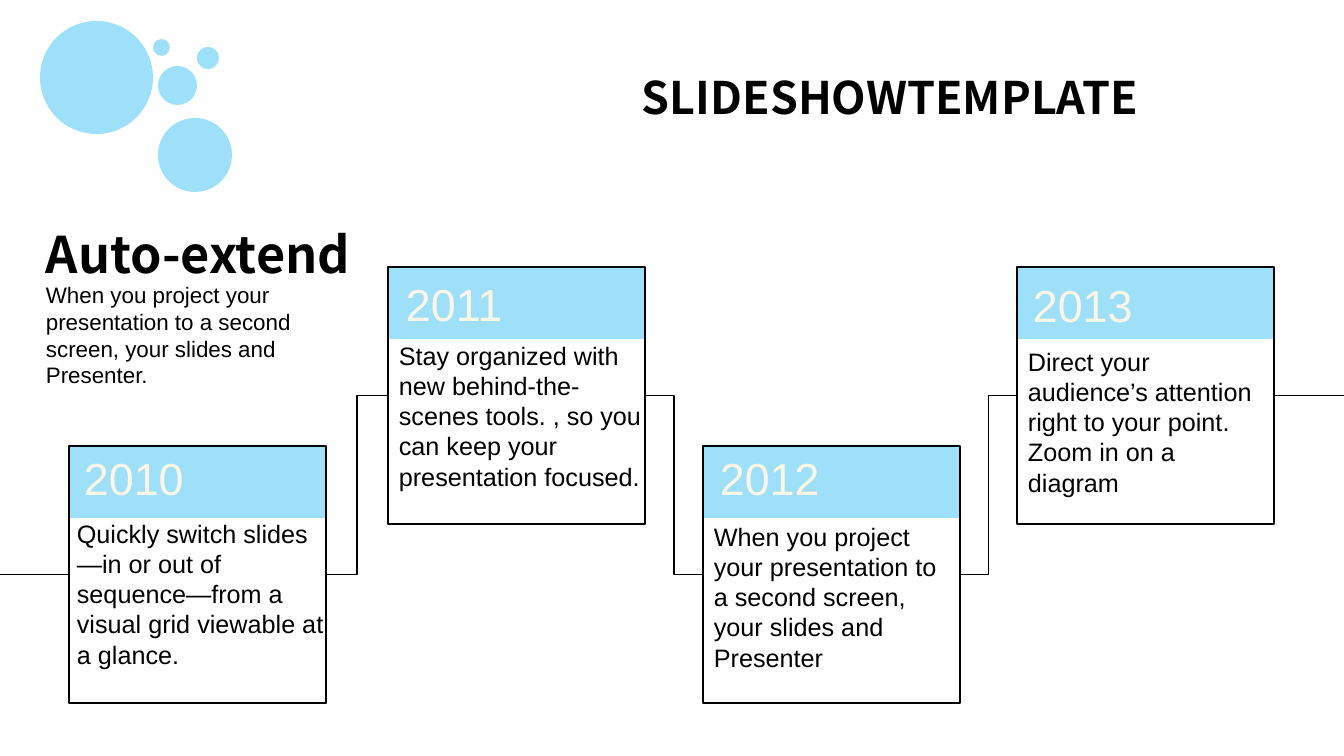
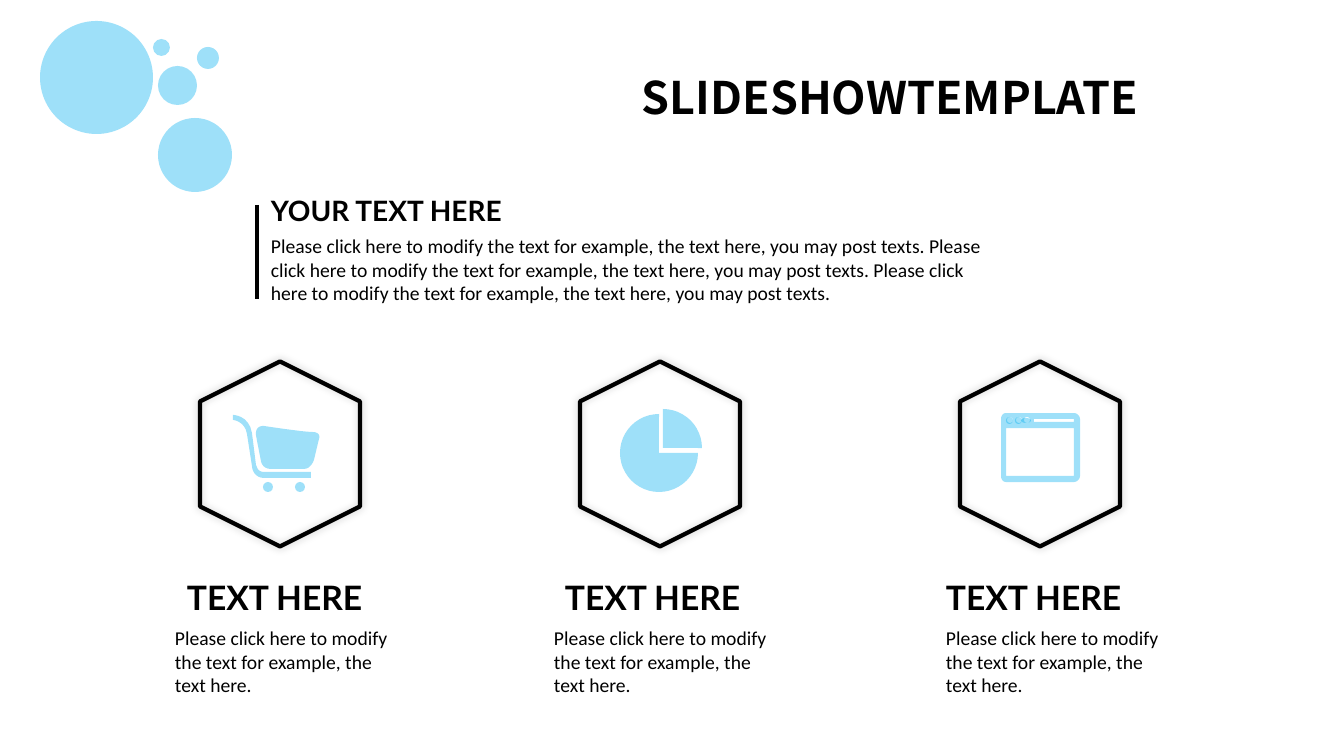
from lxml import etree
from pptx import Presentation
from pptx import util as u
from pptx.dml.color import RGBColor
from pptx.enum import shapes, text
from pptx.oxml.ns import qn

PX = 914400 / 100.8
SKY, BLACK, CREAM = "00B0F0", "000000", "FCF6E6"
DISPLAY, BODY, CAPTION, NOTE = "Noto Sans CJK SC", "Arial", "Lato", "Calibri"
Preset, Link = shapes.MSO_SHAPE, shapes.MSO_CONNECTOR


def paint(item, fill=None, line=None, weight=1):
    """Give a shape a translucent fill or none, a line or none, and no shadow."""
    if hasattr(item, "fill"):
        item.shadow.inherit = False
        if fill:
            item.fill.solid()
            item.fill.fore_color.rgb = RGBColor.from_string(fill)
            tint = item.fill._xPr.find(qn("a:solidFill"))[0]
            etree.SubElement(tint, qn("a:alpha"), val="38000")
        else:
            item.fill.background()
    if line:
        item.line.color.rgb = RGBColor.from_string(line)
        item.line.width = u.Pt(weight)
    else:
        item.line.fill.background()
    if not hasattr(item, "fill"):
        etree.SubElement(item._element.spPr, qn("a:effectLst"))
    return item


def write(slide, words, box, size, font=BODY, color=BLACK, bold=False, holder=None,
          align=text.PP_ALIGN.LEFT, anchor=text.MSO_ANCHOR.TOP):
    """Set one paragraph in a new text box or in a given placeholder."""
    left, top, width, height = [round(n * PX) for n in box]
    if holder is None:
        holder = slide.shapes.add_textbox(left, top, width, height)
    else:
        holder.left, holder.top, holder.width, holder.height = left, top, width, height
    frame = holder.text_frame
    frame.word_wrap = True
    frame.auto_size = text.MSO_AUTO_SIZE.NONE
    frame.vertical_anchor = anchor
    paragraph = frame.paragraphs[0]
    paragraph.alignment = align
    run = paragraph.add_run()
    run.text = words
    run.font.name, run.font.size, run.font.bold = font, u.Pt(size), bold
    run.font.color.rgb = RGBColor.from_string(color)


deck = Presentation()
deck.slide_width, deck.slide_height = round(1344 * PX), round(756 * PX)
timeline, features = [deck.slides.add_slide(deck.slide_layouts[5]) for _ in range(2)]

# Shared bubbles and title
bubbles = [(40, 21, 113), (153, 39, 17), (197, 47, 22), (158, 66, 39), (158, 118, 74)]
for slide in (timeline, features):
    for x, y, size in bubbles:
        paint(slide.shapes.add_shape(Preset.OVAL, x * PX, y * PX, size * PX, size * PX), SKY)
    write(slide, "SLIDESHOWTEMPLATE", (570, 66, 640, 61), 32, DISPLAY, bold=True,
          holder=slide.shapes.title, align=text.PP_ALIGN.CENTER,
          anchor=text.MSO_ANCHOR.MIDDLE)

# Timeline: introduction
write(timeline, "When you project your presentation to a second screen, your slides and "
      "Presenter.", (36, 276, 313, 119), 16)
write(timeline, "Auto-extend", (36, 218, 380, 72), 36, DISPLAY, bold=True)

# Timeline: cards (left, top, year, year position, story, story box)
CARD, BAND = 257, 72
milestones = [
    (69, 446, "2010", (74, 446),
     "Quickly switch slides—in or out of sequence—from a visual grid viewable at a glance.",
     (67, 513, 271, 194)),
    (388, 267, "2011", (396, 272),
     "Stay organized with new behind-the-scenes tools. , so you can keep your "
     "presentation focused.", (389, 335, 275, 194)),
    (703, 446, "2012", (710, 446),
     "When you project your presentation to a second screen, your slides and Presenter",
     (704, 516, 254, 194)),
    (1017, 267, "2013", (1023, 273),
     "Direct your audience’s attention right to your point. Zoom in on a diagram",
     (1018, 341, 256, 163)),
]
cards = []
for x, y, year, year_at, story, story_box in milestones:
    paint(timeline.shapes.add_shape(Preset.RECTANGLE, x * PX, y * PX, CARD * PX, BAND * PX),
          SKY)
    cards.append(paint(timeline.shapes.add_shape(
        Preset.RECTANGLE, x * PX, y * PX, CARD * PX, CARD * PX), line=BLACK))
    write(timeline, year, (*year_at, 126, 65), 32, color=CREAM)
    write(timeline, story, story_box, 18)

# Timeline: path through the cards and off both edges
for card, next_card in zip(cards, cards[1:]):
    step = timeline.shapes.add_connector(Link.ELBOW, 0, 0, 0, 0)
    step.begin_connect(card, 3)
    step.end_connect(next_card, 1)
    paint(step, line=BLACK)
for card, side, edge in ((cards[0], 1, 0), (cards[-1], 3, deck.slide_width)):
    middle = card.top + card.height // 2
    tail = timeline.shapes.add_connector(Link.STRAIGHT, edge, middle, edge, middle)
    tail.begin_connect(card, side)
    paint(tail, line=BLACK)

# Features: introduction with its rule
write(features, "Please click here to modify the text for example, the text here, you may "
      "post texts. Please click here to modify the text for example, the text here, you may "
      "post texts. Please click here to modify the text for example, the text here, you may "
      "post texts.", (261, 229, 736, 82), 14, NOTE)
write(features, "YOUR TEXT HERE", (261, 189, 269, 44), 20, CAPTION, bold=True)
paint(features.shapes.add_connector(Link.STRAIGHT, 257 * PX, 205 * PX, 257 * PX, 299 * PX),
      line=BLACK, weight=2.25)

# Features: hexagons with captions
for column, (caption_x, note_x) in enumerate([(177, 165), (555, 544), (936, 936)]):
    center = 280 + 380 * column
    hexagon = paint(features.shapes.add_shape(
        Preset.HEXAGON, (center - 92.5) * PX, 374 * PX, 185 * PX, 160 * PX),
        line=BLACK, weight=3)
    hexagon.rotation = 90
    glow = etree.SubElement(hexagon._element.spPr.find(qn("a:effectLst")),
                            qn("a:outerShdw"), blurRad=str(u.Pt(6)), dist="0",
                            dir="18900000", rotWithShape="0")
    shade = etree.SubElement(glow, qn("a:srgbClr"), val=BLACK)
    etree.SubElement(shade, qn("a:alpha"), val="20000")
    write(features, "TEXT HERE", (caption_x, 572, 210, 50), 24, CAPTION, bold=True)
    write(features, "Please click here to modify the text for example, the text here.",
          (note_x, 621, 233, 82), 14, NOTE)

# Icon outlines: each contour has a start, then line ends (2) or cubic curves (6)
cart_handle = [(256, 465), (252, 433), (249, 415, 233, 415, 233, 415), (233, 420),
               (233, 420, 245, 421, 247, 434), (252, 466), (252, 470, 255, 478, 264, 478),
               (311, 478), (311, 472), (264, 472), (257, 472, 257, 466, 256, 465)]
cart_basket = [(312, 432), (303, 432, 264, 426, 264, 426), (264, 426, 255, 425, 256, 435),
               (258, 446, 261, 461, 261, 461), (261, 461, 262, 469, 271, 469), (304, 469),
               (311, 469, 314, 460, 314, 460), (319, 439), (319, 439, 322, 432, 312, 432)]
window_frame = [(1074, 413), (1006, 413), (1003, 413, 1001, 416, 1001, 419), (1001, 476),
                (1001, 479, 1003, 482, 1006, 482), (1074, 482),
                (1077, 482, 1080, 479, 1080, 476), (1080, 419),
                (1080, 416, 1077, 413, 1074, 413)]
window_pane = [(1006, 428), (1074, 428), (1074, 476), (1006, 476)]
address_bar = [(1034, 419), (1074, 419), (1074, 422), (1034, 422)]
button_holes = [[(x, 417), (x + 4, 417, x + 4, 423, x, 423), (x - 4, 423, x - 4, 417, x, 417)]
                for x in (1010, 1019, 1027)]
icons = [[cart_handle], [cart_basket],
         [window_frame, window_pane, address_bar, *button_holes]]
for contours in icons:
    x, y = contours[0][0]
    outline = features.shapes.build_freeform(x * PX, y * PX, scale=1.0)
    for contour in contours:
        x, y = contour[0]
        if contour is not contours[0]:
            outline.move_to(x * PX, y * PX)
        points = []
        for move in contour[1:]:
            if len(move) == 2:
                points.append(move)
            else:
                ax, ay, bx, by, cx, cy = move
                for t in [n / 8 for n in range(1, 9)]:
                    s = 1 - t
                    weights = s ** 3, 3 * s * s * t, 3 * s * t * t, t ** 3
                    points.append((sum(w * v for w, v in zip(weights, (x, ax, bx, cx))),
                                   sum(w * v for w, v in zip(weights, (y, ay, by, cy)))))
            x, y = move[-2:]
        outline.add_line_segments([(px * PX, py * PX) for px, py in points], close=True)
    paint(outline.convert_to_shape(), SKY)

# Icon details: cart wheels and window buttons
for x, y, width, height in [(295, 482, 10, 10), (263, 482, 10, 10), (1006, 417, 7, 7),
                            (1015, 417, 7, 7), (1021, 418, 10, 5)]:
    paint(features.shapes.add_shape(Preset.OVAL, x * PX, y * PX, width * PX, height * PX), SKY)

# Pie icon: three quarters and the slice pulled out (angles in degrees)
for x, y, size, start, end in [(620, 414, 78, 0, 270), (624, 409, 78, 270, 0)]:
    pie = paint(features.shapes.add_shape(Preset.PIE, x * PX, y * PX, size * PX, size * PX),
                SKY)
    pie.adjustments[0], pie.adjustments[1] = start * 0.6, end * 0.6

deck.save("out.pptx")
